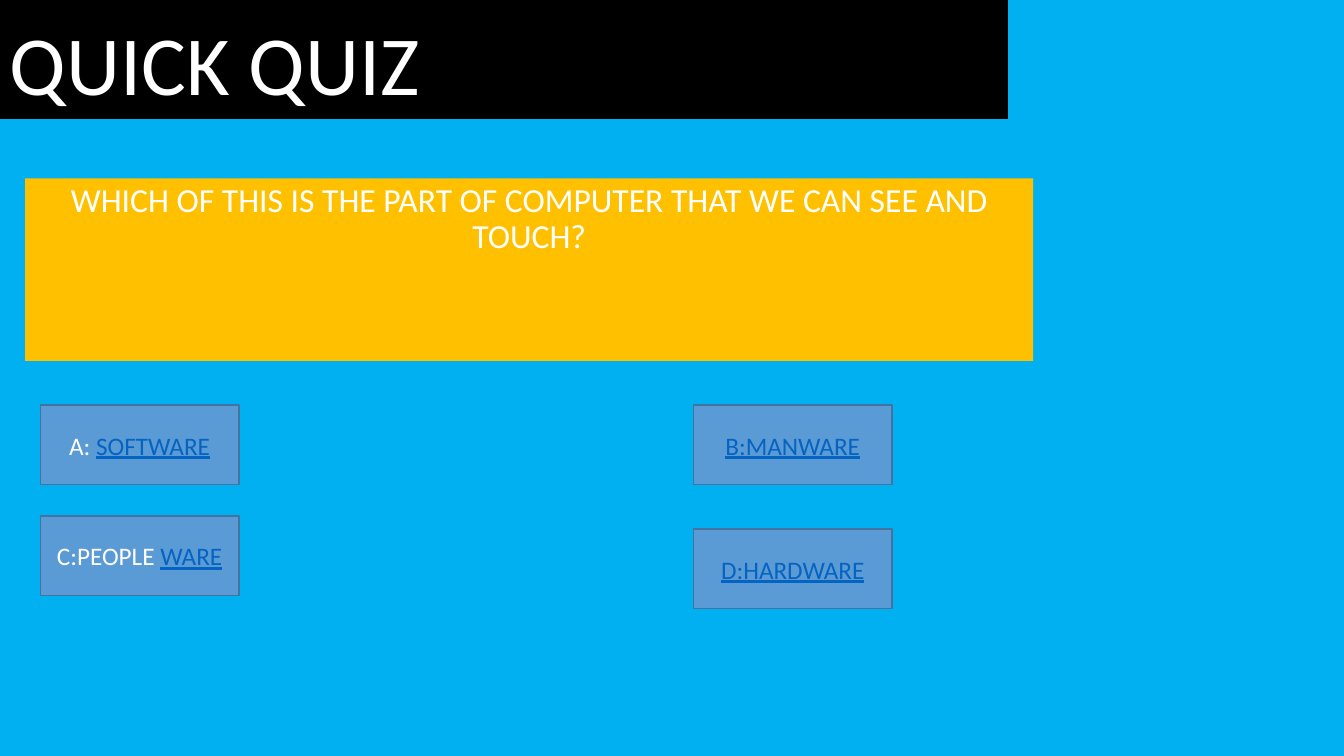
from pptx import Presentation
from pptx import util as u
from pptx.dml import color
from pptx.enum import shapes, text

BLACK = color.RGBColor(0x00, 0x00, 0x00)
WHITE = color.RGBColor(0xFF, 0xFF, 0xFF)
SKY = color.RGBColor(0x00, 0xB0, 0xF0)
GOLD = color.RGBColor(0xFF, 0xC0, 0x00)
BLUE = color.RGBColor(0x5B, 0x9B, 0xD5)
EDGE = color.RGBColor(0x43, 0x73, 0x9E)
LINK = color.RGBColor(0x05, 0x63, 0xC1)

deck = Presentation()
deck.slide_width = u.Inches(13.33)
deck.slide_height = u.Inches(7.5)
wide = deck.slide_width / 100
high = deck.slide_height / 100
slide = deck.slides.add_slide(deck.slide_layouts[6])
slide.background.fill.solid()
slide.background.fill.fore_color.rgb = SKY


def add_box(left, top, width, height, fill, anchor, align):
    box = slide.shapes.add_shape(
        shapes.MSO_SHAPE.RECTANGLE,
        round(left * wide), round(top * high),
        round(width * wide), round(height * high))
    box.shadow.inherit = False
    box.fill.solid()
    box.fill.fore_color.rgb = fill
    box.line.fill.background()
    frame = box.text_frame
    frame.word_wrap = True
    frame.vertical_anchor = anchor
    para = frame.paragraphs[0]
    para.alignment = align
    return box, para


def add_run(para, words, size, ink):
    run = para.add_run()
    run.text = words
    run.font.name = "Calibri"
    run.font.size = u.Pt(size)
    run.font.color.rgb = ink
    run.font.underline = ink == LINK


box, para = add_box(0, 0, 75, 15.73, BLACK,
                    text.MSO_ANCHOR.BOTTOM, text.PP_ALIGN.LEFT)
para.line_spacing = 0.9
add_run(para, "QUICK QUIZ", 60, WHITE)

box, para = add_box(1.88, 23.6, 75, 24.13, GOLD,
                    text.MSO_ANCHOR.TOP, text.PP_ALIGN.CENTER)
para.line_spacing = 0.9
para.space_before = u.Pt(10)
add_run(para, "WHICH OF THIS IS THE PART OF COMPUTER THAT WE CAN SEE AND TOUCH?",
        24, WHITE)

picks = [
    (3, 53.6, [("A: ", WHITE), ("SOFTWARE", LINK)]),
    (3, 68.27, [("C:PEOPLE ", WHITE), ("WARE", LINK)]),
    (51.6, 53.6, [("B:MANWARE", LINK)]),
    (51.6, 70, [("D:HARDWARE", LINK)]),
]
for left, top, runs in picks:
    box, para = add_box(left, top, 14.78, 10.53, BLUE,
                        text.MSO_ANCHOR.MIDDLE, text.PP_ALIGN.CENTER)
    box.line.color.rgb = EDGE
    box.line.width = u.Pt(1)
    for words, ink in runs:
        add_run(para, words, 18, ink)

deck.save("out.pptx")
